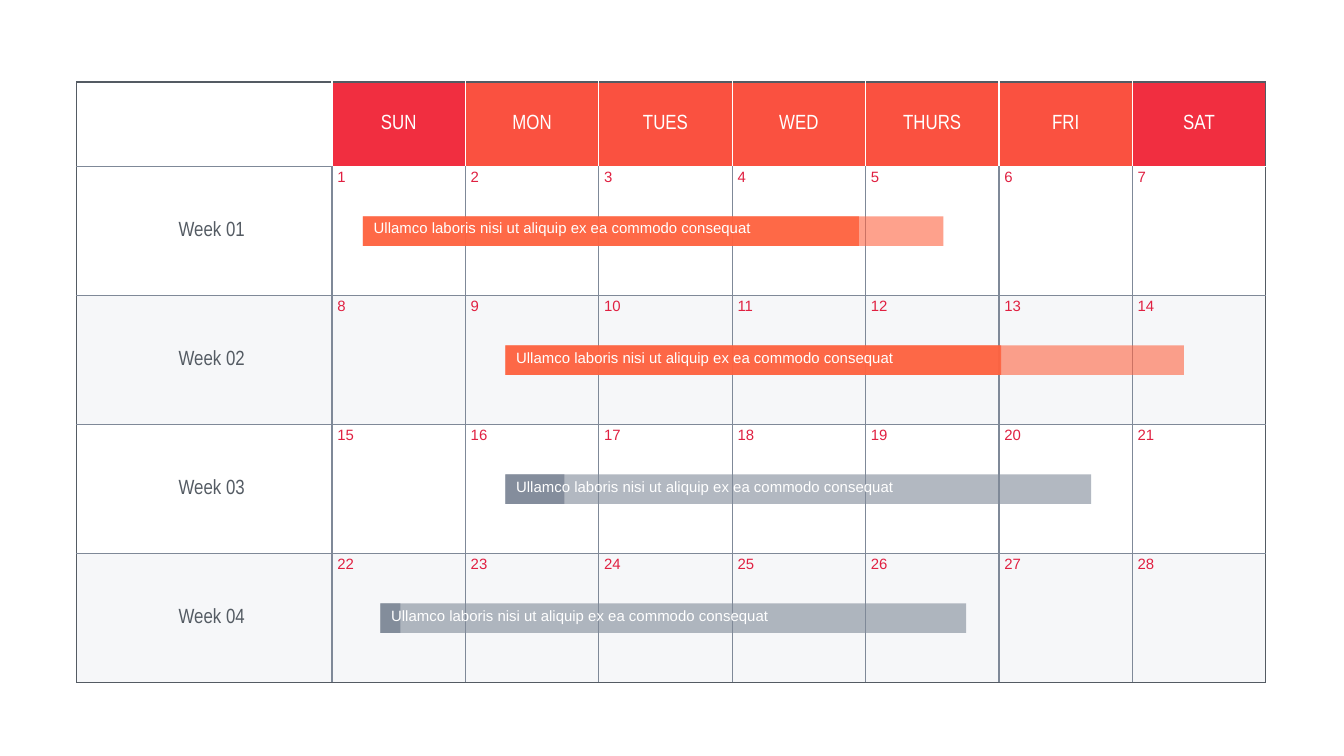
from lxml.etree import SubElement
from pptx import Presentation
from pptx.dml.color import RGBColor
from pptx.enum.shapes import MSO_SHAPE as Shape
from pptx.enum.text import MSO_ANCHOR as Anchor, PP_ALIGN as Align
from pptx.oxml import parse_xml
from pptx.oxml.ns import nsdecls, qn
from pptx.util import Inches, Pt

WHITE, DARK, GREY = "FFFFFF", "545B63", "7F8998"
ORANGE, DATE_RED = "FE6340", "E02041"
WEEKDAY, WEEKEND, STRIPE = "FA5140", "F12E40", "EEF0F4"

DAYS = ["SUN", "MON", "TUES", "WED", "THURS", "FRI", "SAT"]
WEEKS = ["Week 01", "Week 02", "Week 03", "Week 04"]
TASK = "Ullamco laboris nisi ut aliquip ex ea commodo consequat"
TASKS = [
    (2.13, 4.32, 3.69, ORANGE),
    (3.19, 5.05, 3.69, ORANGE),
    (3.19, 4.36, 0.44, GREY),
    (2.26, 4.36, 0.15, GREY),
]
LABEL_WIDTH, HEADER_HEIGHT, WEEK_HEIGHT = 1.9, 0.63, 0.96
BAR_OFFSET, BAR_HEIGHT = 0.37, 0.22


def rgb(color):
    """Turn a hex string into a colour."""
    return RGBColor.from_string(color)


def paint(fill, properties, color, opacity=100):
    """Give a fill a solid colour with an opacity in percent."""
    fill.solid()
    fill.fore_color.rgb = rgb(color)
    if opacity < 100:
        tint = properties.find(qn("a:solidFill"))[0]
        SubElement(tint, qn("a:alpha"), val=str(opacity * 1000))


def write(frame, text, size=8, font="Arial", color=WHITE, align=Align.LEFT):
    """Write one formatted line into a text frame."""
    paragraph = frame.paragraphs[0]
    paragraph.alignment = align
    run = paragraph.add_run()
    run.text = text
    run.font.size = Pt(size)
    run.font.name = font
    run.font.color.rgb = rgb(color)


def set_margins(holder, left=0.04):
    """Set the narrow insets of a cell or text frame."""
    holder.margin_left, holder.margin_right = Inches(left), Inches(0.04)
    holder.margin_top = holder.margin_bottom = Inches(0.02)


def side_color(row, edge):
    """Return the colour of a vertical cell edge."""
    if edge in (0, len(DAYS) + 1):
        return DARK
    return WHITE if row == 0 else GREY


def level_color(edge, column):
    """Return the colour of a horizontal cell edge."""
    if edge in (0, len(WEEKS) + 1):
        return DARK
    return WHITE if edge == 1 and column > 0 else GREY


def add_borders(cell, row, column):
    """Draw the four borders of a cell from its place in the grid."""
    borders = {
        "lnL": side_color(row, column),
        "lnR": side_color(row, column + 1),
        "lnT": level_color(row, column),
        "lnB": level_color(row + 1, column),
    }
    properties = cell._tc.get_or_add_tcPr()
    for position, (tag, color) in enumerate(borders.items()):
        properties.insert(position, parse_xml(
            f'<a:{tag} {nsdecls("a")} w="{Pt(0.75)}"><a:solidFill>'
            f'<a:srgbClr val="{color}"/></a:solidFill></a:{tag}>'))


def fill_cell(cell, row, column):
    """Fill, border and label one calendar cell."""
    properties = cell._tc.get_or_add_tcPr()
    if row == 0 and column > 0:
        paint(cell.fill, properties, WEEKEND if column in (1, len(DAYS)) else WEEKDAY)
    elif row > 0 and row % 2 == 0:
        paint(cell.fill, properties, STRIPE, 50)
    else:
        cell.fill.background()
    add_borders(cell, row, column)
    set_margins(cell, left=0.15 if column == 0 else 0.04)
    if row > 0 and column > 0:
        write(cell.text_frame, str((row - 1) * len(DAYS) + column), color=DATE_RED)
        return
    cell.vertical_anchor = Anchor.MIDDLE
    if row > 0 or column > 0:
        label = DAYS[column - 1] if row == 0 else WEEKS[row - 1]
        write(cell.text_frame, label, size=11, font="Arial Narrow",
              color=WHITE if row == 0 else DARK, align=Align.CENTER)


def add_calendar(slide, left, top, width):
    """Add the month grid with its day and week headings."""
    height = HEADER_HEIGHT + len(WEEKS) * WEEK_HEIGHT
    calendar = slide.shapes.add_table(
        len(WEEKS) + 1, len(DAYS) + 1,
        Inches(left), Inches(top), Inches(width), Inches(height)).table
    calendar.first_row = calendar.horz_banding = False
    day_width = (width - LABEL_WIDTH) / len(DAYS)
    for index, column in enumerate(calendar.columns):
        column.width = Inches(day_width if index else LABEL_WIDTH)
    for index, row in enumerate(calendar.rows):
        row.height = Inches(WEEK_HEIGHT if index else HEADER_HEIGHT)
        for place, cell in enumerate(row.cells):
            fill_cell(cell, index, place)


def add_task(slide, left, top, width, done, color):
    """Add a task bar with its finished part and its label."""
    task = slide.shapes.add_group_shape()
    for length, opacity in ((width, 60), (done, 90)):
        bar = task.shapes.add_shape(Shape.RECTANGLE, Inches(left), Inches(top),
                                    Inches(length), Inches(BAR_HEIGHT))
        bar.shadow.inherit = False
        bar.line.fill.background()
        paint(bar.fill, bar._element.spPr, color, opacity)
    caption = task.shapes.add_textbox(Inches(left + 0.04), Inches(top),
                                      Inches(3.11), Inches(0.18)).text_frame
    caption.word_wrap = True
    set_margins(caption)
    write(caption, TASK)


def main():
    """Build the calendar slide and save it."""
    deck = Presentation()
    deck.slide_width, deck.slide_height = Inches(10), Inches(10 * 9 / 16)
    slide = deck.slides.add_slide(deck.slide_layouts[6])
    left, top = 0.57, 0.61
    add_calendar(slide, left, top, width=8.85)
    for week, (start, length, done, color) in enumerate(TASKS):
        bar_top = top + HEADER_HEIGHT + week * WEEK_HEIGHT + BAR_OFFSET
        add_task(slide, left + start, bar_top, length, done, color)
    deck.save("out.pptx")


if __name__ == "__main__":
    main()
